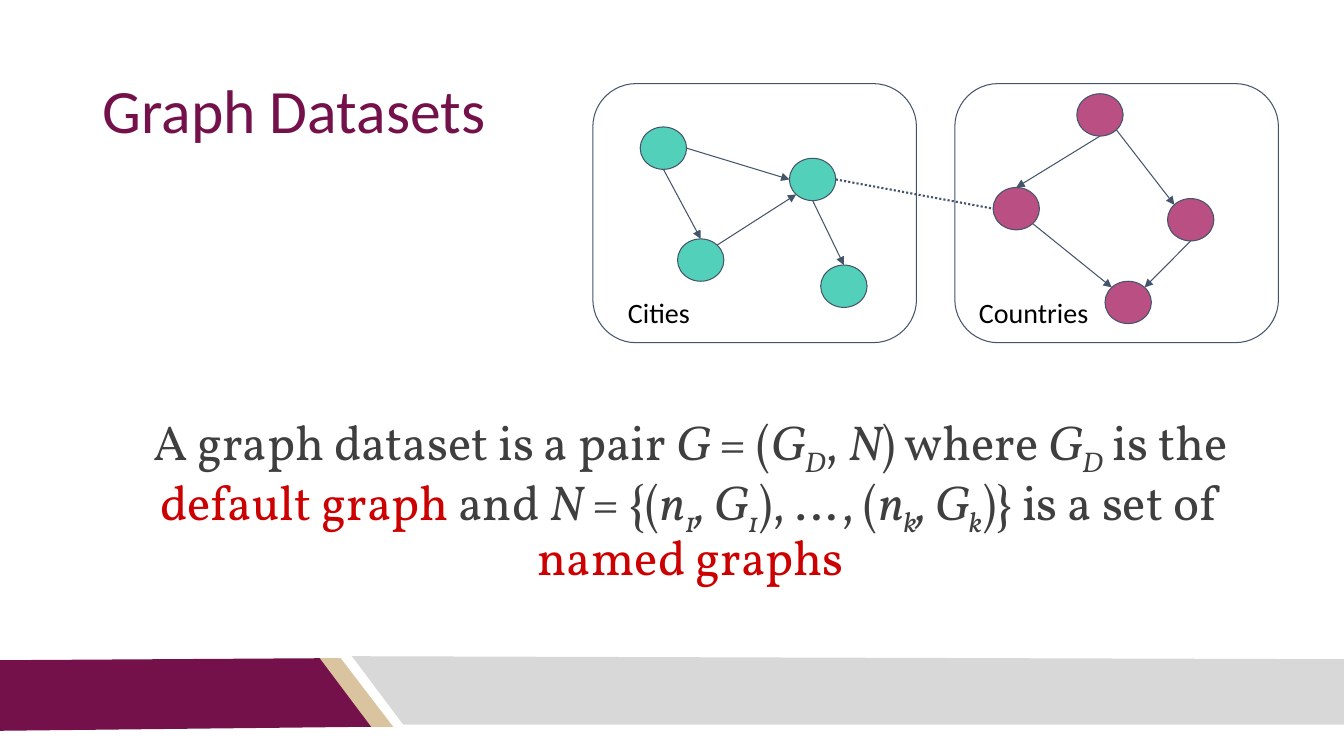
from dataclasses import dataclass
from math import cos, radians, sin

from lxml.etree import SubElement
from pptx import Presentation
from pptx.dml.color import RGBColor
from pptx.enum.dml import MSO_LINE
from pptx.enum.shapes import MSO_CONNECTOR, MSO_SHAPE
from pptx.enum.text import MSO_ANCHOR, MSO_AUTO_SIZE, PP_ALIGN
from pptx.oxml.ns import qn
from pptx.util import Pt

EMU_PER_PX = 9144  # 100 px to the inch


@dataclass(frozen=True)
class Theme:
    maroon: str = "75114A"
    sand: str = "D9C49F"
    grey: str = "D8D8D8"
    city: str = "52D0B9"
    country: str = "B94F82"
    outline: str = "44546A"
    body: str = "3F3F3F"
    keyword: str = "CC0000"
    black: str = "000000"
    sans: str = "Calibri"
    serif: str = "Vollkorn"
    title_size: int = 44
    body_size: int = 35
    label_size: int = 20
    thin: float = 0.75
    thick: float = 1.5


THEME = Theme()
NODE_WIDTH, NODE_HEIGHT = 46, 42

# Directions on a node, in degrees clockwise from the right
RIGHT, LOWER_RIGHT, BOTTOM, LOWER_LEFT = 0, 45, 90, 135
LEFT, UPPER_LEFT, TOP, UPPER_RIGHT = 180, 225, 270, 315

CITIES = [(635, 126), (783, 157), (672, 237), (814, 263)]
CITY_EDGES = [  # from node, side, to node, side
    (0, RIGHT, 1, LEFT),
    (0, BOTTOM, 2, TOP),
    (2, UPPER_RIGHT, 1, LOWER_LEFT),
    (1, BOTTOM, 3, TOP),
]
COUNTRIES = [(1068, 93), (1158, 197), (985, 186), (1096, 279)]
COUNTRY_EDGES = [
    (0, BOTTOM, 2, TOP),
    (0, LOWER_RIGHT, 1, UPPER_LEFT),
    (2, LOWER_RIGHT, 3, UPPER_LEFT),
    (1, BOTTOM, 3, UPPER_RIGHT),
]

PLAIN, ITALIC, SUBSCRIPT, KEYWORD = "plain", "italic", "subscript", "keyword"
DEFINITION = [
    ("A graph dataset is a pair ", PLAIN), ("G", ITALIC), (" = (", PLAIN),
    ("G", ITALIC), ("D", SUBSCRIPT), (", ", PLAIN), ("N", ITALIC),
    (") where ", PLAIN), ("G", ITALIC), ("D", SUBSCRIPT), (" is the ", PLAIN),
    ("default graph", KEYWORD), (" and ", PLAIN), ("N", ITALIC),
    (" = {(", PLAIN), ("n", ITALIC), ("1", SUBSCRIPT), (", G", ITALIC),
    ("1", SUBSCRIPT), ("), …, (", PLAIN), ("n", ITALIC), ("k", SUBSCRIPT),
    (", G", ITALIC), ("k", SUBSCRIPT), (")} is a set of ", PLAIN),
    ("named graphs", KEYWORD),
]


def px(value):
    return round(value * EMU_PER_PX)


def color(value):
    return RGBColor.from_string(value)


def add_band(slide, points, fill):
    builder = slide.shapes.build_freeform(*points[0], scale=EMU_PER_PX)
    builder.add_line_segments(points[1:], close=True)
    shape = builder.convert_to_shape()
    shape.shadow.inherit = False
    shape.fill.solid()
    shape.fill.fore_color.rgb = color(fill)
    shape.line.fill.background()


def add_outlined(slide, kind, left, top, width, height, fill=None):
    shape = slide.shapes.add_shape(kind, px(left), px(top), px(width), px(height))
    shape.shadow.inherit = False
    if fill:
        shape.fill.solid()
        shape.fill.fore_color.rgb = color(fill)
    else:
        shape.fill.background()
    shape.line.color.rgb = color(THEME.outline)
    shape.line.width = Pt(THEME.thin)


def rim_point(node, angle):
    left, top = node
    x = left + NODE_WIDTH / 2 * (1 + cos(radians(angle)))
    y = top + NODE_HEIGHT / 2 * (1 + sin(radians(angle)))
    return px(x), px(y)


def add_edge(slide, start, end, dotted=False):
    connector = slide.shapes.add_connector(MSO_CONNECTOR.STRAIGHT, *start, *end)
    connector.line.color.rgb = color(THEME.outline)
    properties = connector.element.spPr
    if dotted:
        connector.line.width = Pt(THEME.thick)
        connector.line.dash_style = MSO_LINE.ROUND_DOT
    else:
        connector.line.width = Pt(THEME.thin)
        SubElement(properties.find(qn("a:ln")), qn("a:tailEnd"), type="triangle")
    SubElement(properties, qn("a:effectLst"))


def add_graph(slide, panel_left, nodes, edges, fill):
    add_outlined(slide, MSO_SHAPE.ROUNDED_RECTANGLE, panel_left, 83, 321, 257)
    for left, top in nodes:
        add_outlined(slide, MSO_SHAPE.OVAL, left, top, NODE_WIDTH, NODE_HEIGHT, fill)
    for source, source_side, target, target_side in edges:
        add_edge(slide, rim_point(nodes[source], source_side),
                 rim_point(nodes[target], target_side))


def add_text(slide, box, runs, font, size, ink, line_spacing=1.0,
             anchor=MSO_ANCHOR.TOP, align=PP_ALIGN.LEFT, grow=True):
    shape = slide.shapes.add_textbox(*(px(length) for length in box))
    frame = shape.text_frame
    frame.word_wrap = True
    frame.auto_size = MSO_AUTO_SIZE.SHAPE_TO_FIT_TEXT if grow else MSO_AUTO_SIZE.NONE
    frame.vertical_anchor = anchor
    frame.margin_left = frame.margin_right = px(10)
    frame.margin_top = frame.margin_bottom = px(10)
    paragraph = frame.paragraphs[0]
    paragraph.alignment = align
    paragraph.line_spacing = line_spacing
    for text, style in runs:
        run = paragraph.add_run()
        run.text = text
        run.font.name = font
        run.font.size = Pt(size)
        run.font.italic = style in (ITALIC, SUBSCRIPT)
        run.font.color.rgb = color(THEME.keyword if style == KEYWORD else ink)
        if style == SUBSCRIPT:
            run.font._element.set("baseline", "-25000")


def main():
    presentation = Presentation()
    presentation.slide_width = px(1333)
    presentation.slide_height = px(750)
    slide = presentation.slides.add_slide(presentation.slide_layouts[6])

    # Footer bands
    add_band(slide, [(316, 653), (338, 653), (390, 721), (367, 721)], THEME.sand)
    add_band(slide, [(-1, 655), (317, 653), (368, 721), (-1, 725)], THEME.maroon)
    add_band(slide, [(1337, 719), (400, 719), (349, 651), (1334, 654)], THEME.grey)

    # Title
    add_text(slide, (92, 40, 1150, 145), [("Graph Datasets", PLAIN)], THEME.sans,
             THEME.title_size, THEME.maroon, line_spacing=0.9,
             anchor=MSO_ANCHOR.MIDDLE, grow=False)

    # The two named graphs and their labels
    add_graph(slide, 588, CITIES, CITY_EDGES, THEME.city)
    add_graph(slide, 947, COUNTRIES, COUNTRY_EDGES, THEME.country)
    for left, label in ((961, "Countries"), (613, "Cities")):
        add_text(slide, (left, 283, 152, 54), [(label, PLAIN)], THEME.sans,
                 THEME.label_size, THEME.black)

    # Link between the graphs
    add_edge(slide, rim_point(CITIES[1], RIGHT), rim_point(COUNTRIES[2], LEFT),
             dotted=True)

    # Definition
    add_text(slide, (97, 399, 1176, 179), DEFINITION, THEME.serif, THEME.body_size,
             THEME.body, line_spacing=0.9, align=PP_ALIGN.CENTER)

    presentation.save("out.pptx")


if __name__ == "__main__":
    main()
